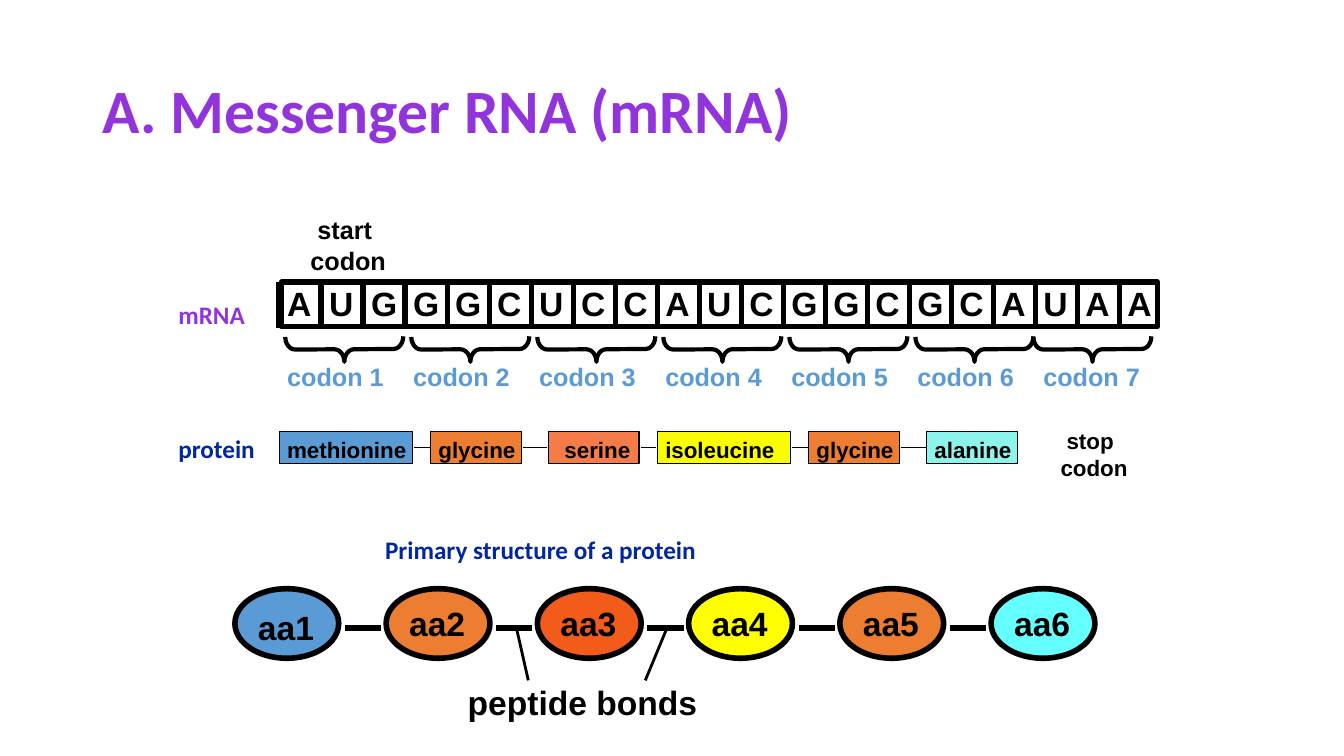
from dataclasses import dataclass
from lxml import etree
from pptx import Presentation
from pptx import util as u
from pptx.dml.color import RGBColor
from pptx.enum import shapes, text
from pptx.oxml.ns import qn


@dataclass(frozen=True)
class Theme:
    black: str = "000000"
    white: str = "FFFFFF"
    purple: str = "9234DB"
    navy: str = "00279F"
    blue: str = "5B9BD5"
    orange: str = "ED7D31"
    salmon: str = "F57B49"
    red: str = "F35B1B"
    lemon: str = "FAFD00"
    yellow: str = "FFFF00"
    mint: str = "8CF4EA"
    cyan: str = "66FFFF"
    title: int = 44
    large: int = 24
    medium: int = 18
    small: int = 16
    body_font: str = "Arial"
    head_font: str = "Calibri"


theme = Theme()
deck = Presentation()
deck.slide_width = u.Inches(13.33)
deck.slide_height = u.Inches(7.5)
page = deck.slides.add_slide(deck.slide_layouts[5])


def write(para, words, size, color, font):
    span = para.add_run()
    span.text = words
    span.font.size = u.Pt(size)
    span.font.bold = True
    span.font.name = font
    span.font.color.rgb = RGBColor.from_string(color)


def add_label(place, lines, size, color=theme.black, font=theme.body_font, first_indent=0):
    box = page.shapes.add_textbox(*map(u.Inches, place))
    frame = box.text_frame
    frame.word_wrap = False
    frame.auto_size = text.MSO_AUTO_SIZE.SHAPE_TO_FIT_TEXT
    for number, words in enumerate(lines):
        para = frame.paragraphs[0] if number == 0 else frame.add_paragraph()
        if number == 0 and first_indent:
            para._p.get_or_add_pPr().set("marL", str(u.Inches(first_indent)))
        write(para, words, size, color, font)


title = page.shapes.title
title.left, title.top = u.Inches(0.92), u.Inches(0.4)
title.width, title.height = u.Inches(11.5), u.Inches(1.45)
title.text_frame.vertical_anchor = text.MSO_ANCHOR.MIDDLE
title.text_frame.auto_size = text.MSO_AUTO_SIZE.NONE
heading = title.text_frame.paragraphs[0]
heading.alignment = text.PP_ALIGN.LEFT
heading.line_spacing = 0.9
write(heading, "A. Messenger RNA (mRNA)", theme.title, theme.purple, theme.head_font)

bases = "AUGGGCUCCAUCGGCGCAUAA"
codon_pitch = 1.25
base_pitch = codon_pitch / 3
amino_pitch = 1.5
amino_colors = [theme.blue, theme.orange, theme.red, theme.yellow, theme.orange, theme.cyan]
residues = [
    ("methionine", 2.77, 1.32, theme.blue, 2.75, 1.4),
    ("glycine", 4.27, 0.9, theme.orange, 4.25, 0.97),
    ("serine", 5.44, 0.9, theme.salmon, 5.5, 0.86),
    ("isoleucine", 6.52, 1.32, theme.lemon, 6.5, 1.3),
    ("glycine", 8.02, 0.9, theme.orange, 8, 0.97),
    ("alanine", 9.19, 0.9, theme.mint, 9.17, 0.97),
]

kinds = shapes.MSO_SHAPE
outlines = [(kinds.RECTANGLE, (2.79, 2.8, 8.69, 0.44), theme.white, 4)]
for name, left, width, color, label_left, label_width in residues:
    outlines.append((kinds.RECTANGLE, (left, 4.28, width, 0.32), color, 1))
for number, color in enumerate(amino_colors):
    outlines.append((kinds.OVAL, (2.33 + number * amino_pitch, 5.84, 1.03, 0.69), color, 4))
for left in [3.29 + number * codon_pitch for number in range(6)] + [10.71]:
    outlines.append((kinds.LEFT_BRACE, (left, 2.88, 0.25, 1.17), None, 3))

for kind, place, color, weight in outlines:
    shape = page.shapes.add_shape(kind, *map(u.Inches, place))
    shape.shadow.inherit = False
    shape.line.color.rgb = RGBColor.from_string(theme.black)
    shape.line.width = u.Pt(weight)
    if color:
        shape.fill.solid()
        shape.fill.fore_color.rgb = RGBColor.from_string(color)
    else:
        shape.fill.background()
        shape.adjustments[0] = 0.39
        shape.rotation = 269.7

lines = [(5.24, 6.75, 5.12, 6.22, 2), (6.4, 6.75, 6.62, 6.22, 2)]
for number in range(len(bases)):
    divider = 2.77 + number * base_pitch
    lines.append((divider, 2.8, divider, 3.25, 4))
for before, after in zip(residues, residues[1:]):
    lines.append((before[1] + before[2] + 0.02, 4.44, after[1] - 0.01, 4.44, 1))
for number in range(len(amino_colors) - 1):
    bond = 3.42 + number * amino_pitch
    lines.append((bond, 6.23, bond + 0.36, 6.23, 4))

for *ends, weight in lines:
    line = page.shapes.add_connector(shapes.MSO_CONNECTOR.STRAIGHT, *map(u.Inches, ends))
    line.line.color.rgb = RGBColor.from_string(theme.black)
    line.line.width = u.Pt(weight)
    etree.SubElement(line._element.spPr, qn("a:effectLst"))

for number, base in enumerate(bases):
    width = 0.46 if base == "G" else 0.44
    add_label((2.75 + number * base_pitch, 2.76, width, 0.5), [base], theme.large)
for number in range(7):
    place = (2.75 + number * codon_pitch, 3.54, 1.17, 0.4)
    add_label(place, [f"codon {number + 1}"], theme.medium, theme.blue)
for name, left, width, color, label_left, label_width in residues:
    add_label((label_left, 4.28, label_width, 0.37), [name], theme.small)
for number in range(len(amino_colors)):
    top = 5.97 if number == 0 else 5.93
    add_label((2.46 + number * amino_pitch, top, 0.76, 0.5), [f"aa{number + 1}"], theme.large)

add_label((2.98, 2.08, 0.98, 0.7), ["start", "codon"], theme.medium, first_indent=0.07)
add_label((10.42, 4.19, 0.92, 0.63), ["stop", "codon"], theme.small, first_indent=0.06)
add_label((4.54, 6.72, 2.5, 0.5), ["peptide bonds"], theme.large)
add_label((1.67, 2.92, 0.87, 0.4), ["mRNA"], theme.medium, theme.purple, theme.head_font)
add_label((1.67, 4.25, 0.96, 0.4), ["protein"], theme.medium, theme.navy, theme.head_font)
add_label((3.72, 5.25, 3.31, 0.4), ["Primary structure of a protein"], theme.medium, theme.navy, theme.head_font)

deck.save("out.pptx")
